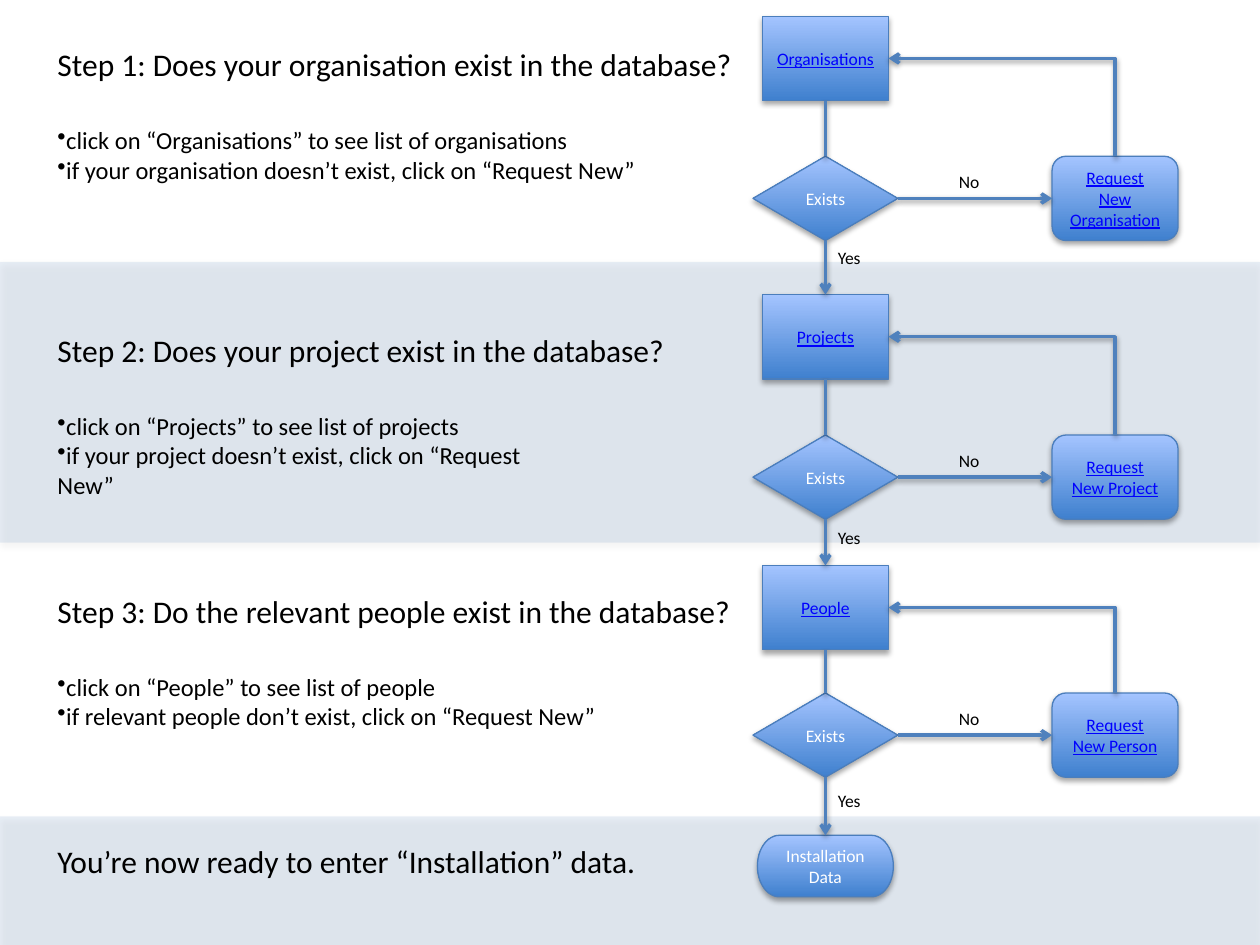
import pptx
import pptx.util
import pptx.dml.color
import pptx.enum.shapes
import pptx.enum.text
import pptx.oxml
import pptx.oxml.ns

Cm, Pt = pptx.util.Cm, pptx.util.Pt
RGB = pptx.dml.color.RGBColor.from_string
Kind = pptx.enum.shapes.MSO_SHAPE
Wire = pptx.enum.shapes.MSO_CONNECTOR
qn = pptx.oxml.ns.qn


class Theme:
    font = "Calibri"
    head, body, small = Pt(18), Pt(14), Pt(10)
    thin, thick = Pt(0.75), Pt(2)
    accent, edge = RGB("4F81BD"), RGB("4B7EBC")
    deep, pale = RGB("3F80CE"), RGB("A4C4FF")
    link, white, black = RGB("0000FF"), RGB("FFFFFF"), RGB("000000")


TOP, LEFT, BOTTOM, RIGHT = range(4)
AXIS = 16.64  # centre line of the flow
BOX_W, BOX_H = 2.54, 1.7
ASK_W = 2.92
NEW_X = 21.21
TEXT_X = 0.91

deck = pptx.Presentation()
deck.slide_width, deck.slide_height = Cm(25.4), Cm(19.05)
slide = deck.slides.add_slide(deck.slide_layouts[6])
shapes = slide.shapes


def node(kind, left, top, width, height, text, link=False):
    """Add a flow chart step; it keeps the soft shadow of the theme."""
    step = shapes.add_shape(kind, Cm(left), Cm(top), Cm(width), Cm(height))
    step.fill.gradient()
    step.fill.gradient_angle = 90
    for stop, colour in zip(step.fill.gradient_stops, (Theme.deep, Theme.pale)):
        stop.color.rgb = colour
    step.line.color.rgb = Theme.edge
    step.line.width = Theme.thin
    step.text_frame.text = text
    par = step.text_frame.paragraphs[0]
    par.alignment = pptx.enum.text.PP_ALIGN.CENTER
    par.font.name, par.font.size = Theme.font, Theme.small
    par.font.color.rgb = Theme.link if link else Theme.white
    par.font.underline = link
    return step


def note(left, top, width, height, lines, size, wrap=True, bullet=False):
    box = shapes.add_textbox(Cm(left), Cm(top), Cm(width), Cm(height))
    frame = box.text_frame
    frame.text = "\n".join(lines)
    frame.word_wrap = wrap
    frame.auto_size = pptx.enum.text.MSO_AUTO_SIZE.SHAPE_TO_FIT_TEXT
    for par in frame.paragraphs:
        par.font.name, par.font.size = Theme.font, size
        par.font.color.rgb = Theme.black
        if bullet:
            props = par.font._element.getparent()
            mark = pptx.oxml.parse_xml(
                f'<a:buChar {pptx.oxml.ns.nsdecls("a")} char="•"/>')
            props.insert(0, mark)


# Shaded bands
for top, height in ((5.28, 5.66), (16.46, 2.59)):
    band = shapes.add_shape(
        Kind.RECTANGLE, 0, Cm(top), deck.slide_width, Cm(height))
    band.fill.solid()
    band.fill.fore_color.rgb = Theme.accent
    band.line.fill.background()
    tint = next(band.element.spPr.iter(qn("a:srgbClr")))
    tint.append(pptx.oxml.parse_xml(
        f'<a:alpha {pptx.oxml.ns.nsdecls("a")} val="13000"/>'))

# Tops of box, question, "Yes" and heading; then widths of heading and bullets
steps = [
    ("Organisations", "Organisation", 0.33, 3.15, 4.85, 0.79, 14.25, 12.24,
     "Step 1: Does your organisation exist in the database?",
     ["click on “Organisations” to see list of organisations",
      "if your organisation doesn’t exist, click on “Request New”"]),
    ("Projects", "Project", 5.94, 8.77, 10.49, 6.55, 12.88, 11.05,
     "Step 2: Does your project exist in the database?",
     ["click on “Projects” to see list of projects",
      "if your project doesn’t exist, click on “Request New”"]),
    ("People", "Person", 11.4, 13.97, 15.8, 11.81, 14.22, 11.4,
     "Step 3: Do the relevant people exist in the database?",
     ["click on “People” to see list of people",
      "if relevant people don’t exist, click on “Request New”"]),
]

joins = []  # start, side, end, side, arrow
loops = []  # request step, box it leads back to
last = None
for (many, one, box_y, ask_y, yes_y, head_y,
     head_w, list_w, head, items) in steps:
    box = node(Kind.FLOWCHART_PROCESS, AXIS - BOX_W / 2, box_y,
               BOX_W, BOX_H, many, True)
    ask = node(Kind.FLOWCHART_DECISION, AXIS - ASK_W / 2, ask_y,
               ASK_W, BOX_H, "Exists")
    new = node(Kind.FLOWCHART_ALTERNATE_PROCESS, NEW_X, ask_y,
               BOX_W, BOX_H, f"Request New {one}", True)
    if last:
        joins.append((last, BOTTOM, box, TOP, True))
    joins.append((box, BOTTOM, ask, TOP, False))
    joins.append((ask, RIGHT, new, LEFT, True))
    loops.append((new, box))
    last = ask
    note(19.08, ask_y + 0.17, 0.94, 0.69, ["No"], Theme.small, wrap=False)
    note(AXIS, yes_y, 0.97, 0.69, ["Yes"], Theme.small, wrap=False)
    note(TEXT_X, head_y, head_w, 1.02, [head], Theme.head)
    note(TEXT_X, head_y + 1.61, list_w, 1.45, items, Theme.body, bullet=True)

done = node(Kind.FLOWCHART_TERMINATOR, AXIS - 1.37, 16.84, 2.74, 1.24,
            "Installation Data")
joins.append((last, BOTTOM, done, TOP, True))
note(TEXT_X, 16.84, 12.29, 1.02,
     ["You’re now ready to enter “Installation” data."], Theme.head)

wires = []
for start, out, end, into, arrow in joins:
    wire = shapes.add_connector(Wire.STRAIGHT, 0, 0, 0, 0)
    wire.begin_connect(start, out)
    wire.end_connect(end, into)
    wires.append((wire, arrow))

for new, box in loops:
    # A one-bend connector laid out flat, then turned a quarter to the left
    x1, y1 = new.left + new.width // 2, new.top
    x2, y2 = box.left + box.width, box.top + box.height // 2
    mid_x, mid_y = (x1 + x2) // 2, (y1 + y2) // 2
    run, rise = (x1 - x2) // 2, (y1 - y2) // 2
    wire = shapes.add_connector(
        Wire.ELBOW, mid_x - rise, mid_y + run, mid_x + rise, mid_y - run)
    wire.element.spPr.find(qn("a:xfrm")).set("rot", "16200000")
    wire.element.spPr.find(qn("a:prstGeom")).set("prst", "bentConnector2")
    wires.append((wire, True))

for wire, arrow in wires:
    wire.line.color.rgb = Theme.accent
    wire.line.width = Theme.thick
    if arrow:
        wire.element.spPr.find(qn("a:ln")).append(pptx.oxml.parse_xml(
            f'<a:tailEnd {pptx.oxml.ns.nsdecls("a")} type="arrow"/>'))

deck.save("out.pptx")
